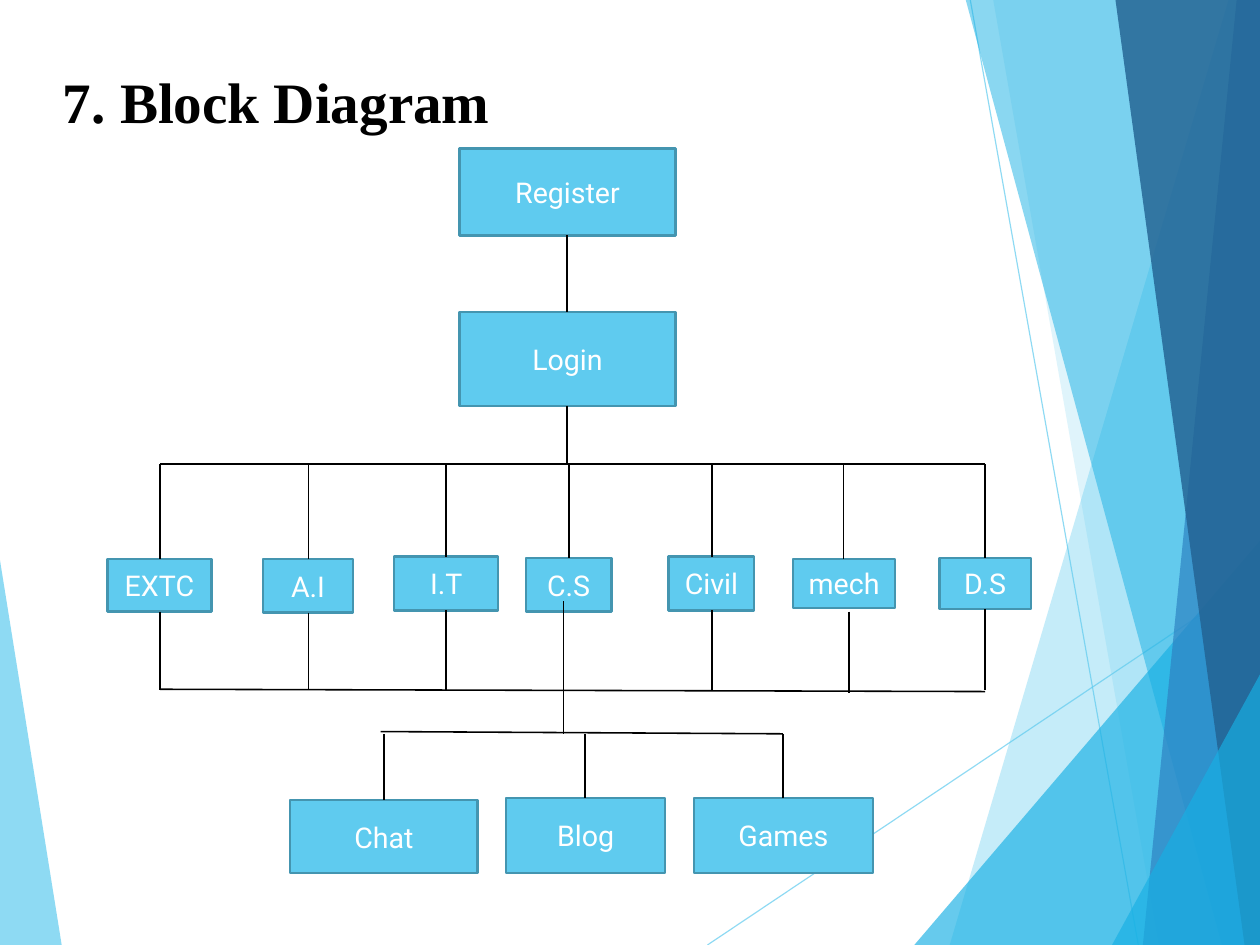
from dataclasses import dataclass

import pptx
import pptx.dml.color
import pptx.enum.shapes
import pptx.enum.text
import pptx.oxml.ns
import pptx.util
from lxml import etree

Inches = pptx.util.Inches
Pt = pptx.util.Pt
Point = tuple[float, float]

SLIDE_WIDTH, SLIDE_HEIGHT = Pt(793.75), Pt(595.25)
WIDTH, HEIGHT = SLIDE_WIDTH.inches, SLIDE_HEIGHT.inches
SKY, TEAL, BLACK, WHITE = "5FCBEF", "4495B0", "000000", "FFFFFF"
AZURE, BLUE, NAVY = "17B0E4", "2E83C3", "236292"
DEPARTMENT_BUS, FEATURE_BUS = 4.06, 6.42


@dataclass
class Facet:
    points: list[Point]
    color: str
    opacity: int


@dataclass
class Block:
    label: str
    left: float
    top: float
    width: float
    height: float
    stem: float

    @property
    def bottom(self) -> float:
        return self.top + self.height


@dataclass
class Link:
    start: Point
    end: Point
    color: str = BLACK
    weight: float = 1
    opacity: int = 100


def paint(target, color: str, opacity: int = 100) -> None:
    target.solid()
    target.fore_color.rgb = pptx.dml.color.RGBColor.from_string(color)
    if opacity < 100:
        for tint in target._xPr.iter(pptx.oxml.ns.qn("a:srgbClr")):
            alpha = etree.SubElement(tint, pptx.oxml.ns.qn("a:alpha"))
            alpha.set("val", str(opacity * 1000))


def style_text(paragraph, font_name: str, size: float, color: str, bold: bool = False) -> None:
    for run in paragraph.runs:
        run.font.name = font_name
        run.font.size = Pt(size)
        run.font.bold = bold
        paint(run.font.fill, color)


def draw_facet(slide, facet: Facet) -> None:
    corners = [(Inches(x), Inches(y)) for x, y in facet.points]
    builder = slide.shapes.build_freeform(*corners[0])
    builder.add_line_segments(corners[1:], close=True)
    shape = builder.convert_to_shape()
    shape.shadow.inherit = False
    shape.line.fill.background()
    paint(shape.fill, facet.color, facet.opacity)


def draw_link(slide, link: Link) -> None:
    connector = slide.shapes.add_connector(
        pptx.enum.shapes.MSO_CONNECTOR.STRAIGHT,
        *(Inches(value) for value in (*link.start, *link.end)))
    connector.line.width = Pt(link.weight)
    paint(connector.line.fill, link.color, link.opacity)
    etree.SubElement(connector._element.spPr, pptx.oxml.ns.qn("a:effectLst"))


def draw_block(slide, block: Block) -> None:
    shape = slide.shapes.add_shape(
        pptx.enum.shapes.MSO_SHAPE.RECTANGLE,
        Inches(block.left), Inches(block.top), Inches(block.width), Inches(block.height))
    shape.shadow.inherit = False
    paint(shape.fill, SKY)
    shape.line.width = Pt(1.5)
    paint(shape.line.fill, TEAL)
    frame = shape.text_frame
    frame.text = block.label
    frame.word_wrap = True
    frame.vertical_anchor = pptx.enum.text.MSO_ANCHOR.MIDDLE
    frame.paragraphs[0].alignment = pptx.enum.text.PP_ALIGN.CENTER
    style_text(frame.paragraphs[0], "Roboto", 18, WHITE)


def draw_title(slide, text: str) -> None:
    title = slide.shapes.title
    title.left, title.top = Inches(0.55), Inches(0.33)
    title.width, title.height = Inches(9.92), Inches(1.13)
    frame = title.text_frame
    frame.text = text
    frame.word_wrap = True
    frame.auto_size = pptx.enum.text.MSO_AUTO_SIZE.NONE
    frame.vertical_anchor = pptx.enum.text.MSO_ANCHOR.MIDDLE
    frame.margin_left = frame.margin_right = frame.margin_bottom = 0
    frame.margin_top = Inches(0.03)
    heading = frame.paragraphs[0]
    heading.alignment = pptx.enum.text.PP_ALIGN.LEFT
    heading.line_spacing = 0.93
    style_text(heading, "Times New Roman", 36, BLACK, bold=True)


def right_facet(top_x: float, bottom_x: float, color: str, opacity: int) -> Facet:
    return Facet([(top_x, 0), (bottom_x, HEIGHT), (WIDTH, HEIGHT), (WIDTH, 0)], color, opacity)


def corner_facet(bottom_x: float, top_y: float) -> Facet:
    return Facet([(bottom_x, HEIGHT), (WIDTH, top_y), (WIDTH, HEIGHT)], AZURE, 66)


RAYS = [
    Link((6.19, HEIGHT), (WIDTH, 5.03), SKY, 0.75, 70),
    Link((8.49, 0), (9.96, HEIGHT), SKY, 0.75, 70),
]
FACETS = [
    Facet([(0, 4.9), (0.54, HEIGHT), (0, HEIGHT)], SKY, 70),
    right_facet(10.75, 8.31, SKY, 36),
    right_facet(8.69, 10.14, SKY, 20),
    corner_facet(8, 4.73),
    right_facet(8.45, 10.69, AZURE, 50),
    right_facet(10.82, 10, BLUE, 70),
    right_facet(9.76, 10.89, NAVY, 82),
    corner_facet(9.73, 5.9),
]

REGISTER = Block("Register", 4.02, 1.3, 1.89, 0.76, 4.96)
LOGIN = Block("Login", 4.02, 2.73, 1.89, 0.82, 4.96)
CS = Block("C.S", 4.6, 4.88, 0.75, 0.47, 4.98)
MECH = Block("mech", 6.94, 4.89, 0.89, 0.43, 7.38)
DEPARTMENTS = [
    Block("EXTC", 0.94, 4.89, 0.91, 0.46, 1.4),
    Block("A.I", 2.3, 4.89, 0.79, 0.47, 2.7),
    Block("I.T", 3.45, 4.87, 0.91, 0.47, 3.9),
    CS,
    Block("Civil", 5.85, 4.87, 0.75, 0.47, 6.23),
    MECH,
    Block("D.S", 8.22, 4.88, 0.8, 0.45, 8.62),
]
FEATURES = [
    Block("Chat", 2.54, 7, 1.64, 0.64, 3.36),
    Block("Blog", 4.43, 6.98, 1.39, 0.66, 5.12),
    Block("Games", 6.07, 6.98, 1.57, 0.66, 6.85),
]

LINKS = [
    Link((REGISTER.stem, REGISTER.bottom), (LOGIN.stem, LOGIN.top)),
    Link((LOGIN.stem, LOGIN.bottom), (LOGIN.stem, 4.07)),
    Link((1.4, DEPARTMENT_BUS), (8.62, DEPARTMENT_BUS)),
    *(Link((d.stem, DEPARTMENT_BUS), (d.stem, d.top)) for d in DEPARTMENTS),
    *(Link((d.stem, d.bottom), (d.stem, 6.04))
      for d in DEPARTMENTS if d not in (CS, MECH)),
    Link((7.43, 5.35), (7.43, 6.06)),
    Link((1.4, 6.03), (8.62, 6.05)),
    Link((4.93, 5.26), (4.93, FEATURE_BUS)),
    Link((3.33, 6.4), (6.85, FEATURE_BUS)),
    *(Link((f.stem, FEATURE_BUS), (f.stem, f.top)) for f in FEATURES),
]


def main() -> None:
    deck = pptx.Presentation()
    deck.slide_width, deck.slide_height = SLIDE_WIDTH, SLIDE_HEIGHT
    slide = deck.slides.add_slide(deck.slide_layouts[5])
    draw_title(slide, "7. Block Diagram")
    for ray in RAYS:
        draw_link(slide, ray)
    for facet in FACETS:
        draw_facet(slide, facet)
    for block in (REGISTER, LOGIN, *DEPARTMENTS, *FEATURES):
        draw_block(slide, block)
    for link in LINKS:
        draw_link(slide, link)
    deck.save("out.pptx")


if __name__ == "__main__":
    main()
